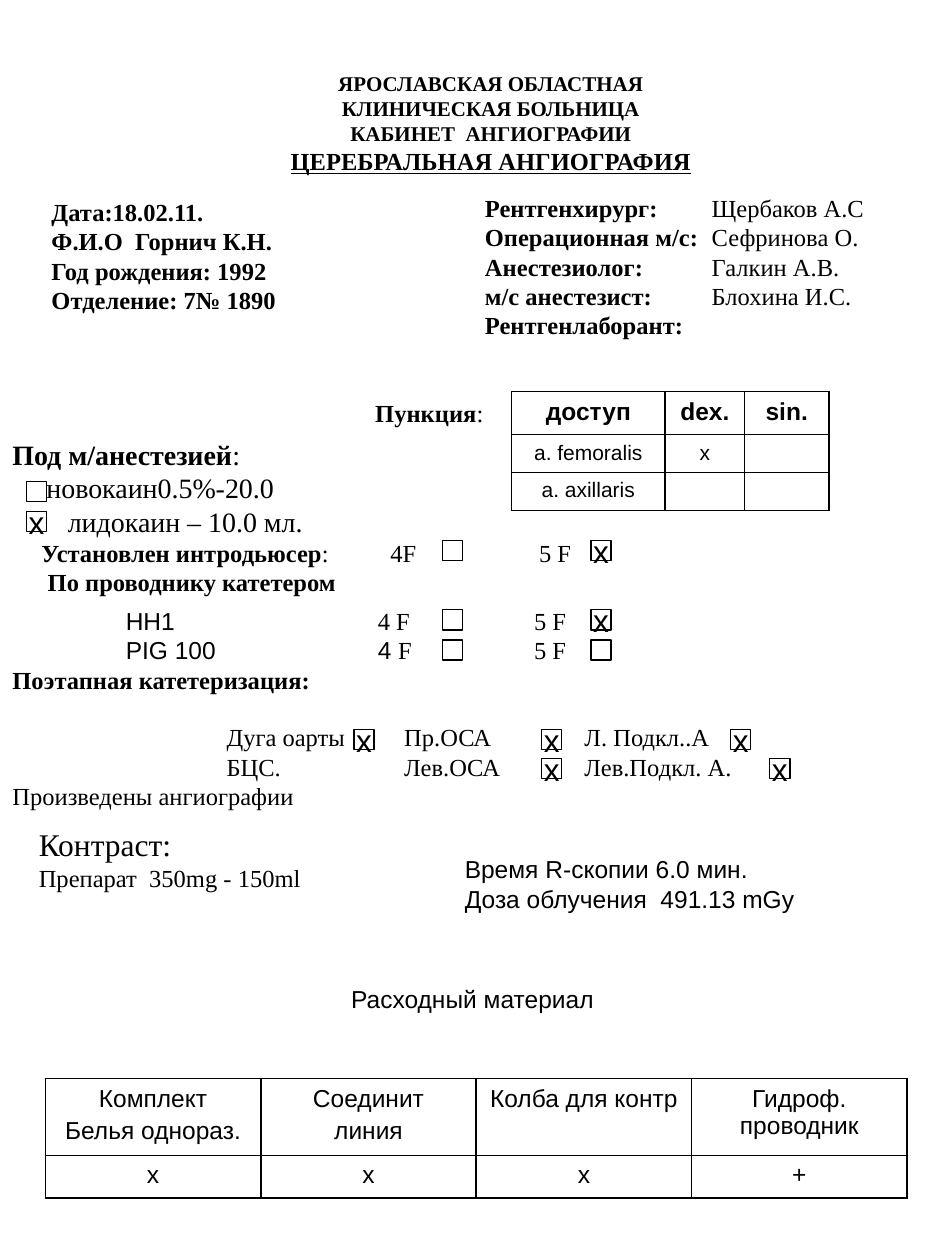
import pptx
import pptx.util
import pptx.dml.color
import pptx.enum.shapes
import pptx.enum.text
import pptx.oxml.ns
from lxml import etree

Inches = pptx.util.Inches
Pt = pptx.util.Pt
ALIGN = pptx.enum.text.PP_ALIGN
ANCHOR = pptx.enum.text.MSO_ANCHOR
qn = pptx.oxml.ns.qn
SERIF, SANS = "Times New Roman", "Arial"
BLACK = "000000"
TICK = 0.16


def rgb(value):
    return pptx.dml.color.RGBColor.from_string(value)


def add_text(tf, text, size=14, font=SERIF, bold=False, underline=False,
             align=ALIGN.LEFT, indent=0, tabs=(), before=0):
    p = tf.add_paragraph() if tf.text else tf.paragraphs[0]
    ppr = p._p.get_or_add_pPr()
    if indent:
        ppr.set("marL", str(Inches(indent)))
        ppr.set("indent", "0")
    if tabs:
        tab_list = etree.SubElement(ppr, qn("a:tabLst"))
        for pos in tabs:
            etree.SubElement(tab_list, qn("a:tab"), pos=str(Inches(pos)), algn="l")
    p.alignment = align
    if before:
        p.space_before = Pt(before)
    for part, part_bold, part_font in [(text, bold, font)] if isinstance(text, str) else text:
        r = p.add_run()
        r.text = part
        r.font.size = Pt(size)
        r.font.name = part_font
        r.font.bold = part_bold
        r.font.underline = underline
        r.font.color.rgb = rgb(BLACK)
    return p


def add_box(s, x, y, w, h, top=0.05, anchor=ANCHOR.TOP):
    sp = s.shapes.add_textbox(Inches(x), Inches(y), Inches(w), Inches(h))
    tf = sp.text_frame
    tf.word_wrap = True
    tf.margin_top = Inches(top)
    tf.vertical_anchor = anchor
    return tf


def add_tick(s, x, y, mark=""):
    sp = s.shapes.add_shape(pptx.enum.shapes.MSO_SHAPE.RECTANGLE,
                            Inches(x), Inches(y), Inches(TICK), Inches(TICK))
    sp.shadow.inherit = False
    sp.fill.background()
    sp.line.color.rgb = rgb(BLACK)
    sp.line.width = Pt(0.75)
    if mark:
        tf = sp.text_frame
        tf.word_wrap = False
        tf.vertical_anchor = ANCHOR.MIDDLE
        add_text(tf, mark, size=18, font=SANS, align=ALIGN.CENTER)


def add_border(cell, side, width):
    ln = etree.SubElement(cell._tc.get_or_add_tcPr(), qn("a:" + side), w=str(Pt(width)))
    fill = etree.SubElement(ln, qn("a:solidFill"))
    etree.SubElement(fill, qn("a:srgbClr"), val=BLACK)


def add_grid(s, x, y, cols, rows, cells, head, body, outer=1):
    frame = s.shapes.add_table(len(rows), len(cols), Inches(x), Inches(y),
                               Inches(sum(cols)), Inches(sum(rows)))
    table = frame.table
    table.first_row = table.horz_banding = False
    for col, width in zip(table.columns, cols):
        col.width = Inches(width)
    for i, height in enumerate(rows):
        table.rows[i].height = Inches(height)
        fmt = body if i else head
        for j, text in enumerate(cells[i]):
            cell = table.cell(i, j)
            edges = (("lnL", j == 0), ("lnR", j == len(cols) - 1),
                     ("lnT", i == 0), ("lnB", i == len(rows) - 1))
            for side, at_edge in edges:
                add_border(cell, side, outer if at_edge else 1)
            cell.fill.background()
            for k, line in enumerate(text.split("\n") if text else ()):
                add_text(cell.text_frame, line, font=SANS, align=ALIGN.CENTER,
                         before=2.8 if k else 0, **fmt)
            if not text:
                end = cell.text_frame.paragraphs[0]._p.get_or_add_endParaRPr()
                end.set("sz", str(fmt["size"] * 100))


def add_title(s, x, y, w, h):
    tf = add_box(s, x, y, w, h, top=0.21)
    for line in ("ЯРОСЛАВСКАЯ ОБЛАСТНАЯ", "КЛИНИЧЕСКАЯ БОЛЬНИЦА", "КАБИНЕТ  АНГИОГРАФИИ"):
        add_text(tf, line, size=12, bold=True, align=ALIGN.CENTER)
    add_text(tf, "ЦЕРЕБРАЛЬНАЯ АНГИОГРАФИЯ", bold=True, underline=True, align=ALIGN.CENTER)


def add_patient(s, x, y, w, h):
    tf = add_box(s, x, y, w, h, anchor=ANCHOR.MIDDLE)
    for line in ("Дата:18.02.11.", "Ф.И.О  Горнич К.Н.", "Год рождения: 1992",
                 "Отделение: 7№ 1890"):
        add_text(tf, line, bold=True)


def add_team(s, x, y, w, h):
    tf = add_box(s, x, y, w, h)
    for role, name in (("Рентгенхирург:", "Щербаков А.С"),
                       ("Операционная м/с:", "Сефринова О."),
                       ("Анестезиолог:", "Галкин А.В."),
                       ("м/с анестезист:", "Блохина И.С.")):
        add_text(tf, [(role, True, SERIF), ("\t" + name, False, SERIF)], tabs=[1.8])
    add_text(tf, "Рентгенлаборант:", bold=True)


def add_anesthesia(s, x, y, w, h):
    tf = add_box(s, x, y, w, h)
    add_text(tf, [("Под м/анестезией", True, SERIF), (":", False, SERIF)], size=16)
    add_text(tf, "новокаин0.5%-20.0", size=16, indent=0.27)
    add_text(tf, "лидокаин – 10.0 мл.", size=16, indent=0.44)
    add_tick(s, x + 0.21, y + 0.4)
    add_tick(s, x + 0.21, y + 0.64, "х")


def add_puncture(s, x, y, w, h):
    tf = add_box(s, x, y, 1.06, 0.33)
    add_text(tf, [("Пункция", True, SERIF), (":", False, SERIF)])
    add_grid(s, x + 1.18, y, [1.22, 0.63, 0.67], [0.34, 0.3, 0.3],
             [["доступ", "dex.", "sin."], ["a. femoralis", "х", ""], ["a. axillaris", "", ""]],
             {"size": 14, "bold": True}, {"size": 12}, outer=0.75)


def add_introducer(s, x, y, w, h):
    tf = add_box(s, x, y, w, h)
    add_text(tf, [("Установлен интродьюсер", True, SERIF), (":\t4F\t5 F", False, SERIF)],
             tabs=[2.77, 3.95])
    add_text(tf, "По проводнику катетером", bold=True, indent=0.05)
    add_tick(s, x + 3.28, y + 0.07)
    add_tick(s, x + 4.46, y + 0.07, "х")


def add_catheters(s, x, y, w, h):
    tf = add_box(s, x, y, w, h)
    sizes, vessels = [0.9, 2.9, 4.14], [1.7, 3.11, 4.54]
    add_text(tf, [("\tHH1", False, SANS), ("\t4 F\t5 F", False, SERIF)], tabs=sizes)
    add_text(tf, [("\tРIG 100\t4 ", False, SANS), ("F\t5 F", False, SERIF)], tabs=sizes)
    add_text(tf, "Поэтапная катетеризация:", bold=True)
    add_text(tf, "\tДуга оарты\tПр.ОСА\tЛ. Подкл..А", tabs=vessels, before=16)
    add_text(tf, "\tБЦС.\tЛев.ОСА\tЛев.Подкл. А.", tabs=vessels)
    add_text(tf, "Произведены ангиографии")
    for dy, ticks in ((0.08, ((3.51, ""), (4.69, "х"))),
                      (0.32, ((3.51, ""), (4.69, ""))),
                      (1.03, ((2.81, "х"), (4.3, "х"), (5.8, "х"))),
                      (1.26, ((4.3, "х"), (6.11, "х")))):
        for dx, mark in ticks:
            add_tick(s, x + dx, y + dy, mark)


def add_contrast(s, x, y, w, h):
    tf = add_box(s, x, y, 3.3, h)
    add_text(tf, "Контраст:", size=18)
    add_text(tf, "Препарат  350mg - 150ml")
    tf = add_box(s, x + 3.38, y + 0.23, 3.12, 0.57)
    add_text(tf, "Время R-скопии 6.0 мин.", font=SANS)
    add_text(tf, "Доза облучения  491.13 mGy", font=SANS)


def add_supplies(s, x, y, w, h):
    tf = add_box(s, x, y, w, 0.33)
    add_text(tf, "Расходный материал", font=SANS, align=ALIGN.CENTER)
    add_grid(s, x + 0.36, y + 0.8, [1.71] * 4, [0.61, 0.34],
             [["Комплект\nБелья однораз.", "Соединит\nлиния", "Колба для контр",
               "Гидроф. проводник"], ["х", "х", "х", "+"]],
             {"size": 14}, {"size": 14})


def main():
    prs = pptx.Presentation()
    prs.slide_width, prs.slide_height = Inches(7.5), Inches(10)
    s = prs.slides.add_slide(prs.slide_layouts[6])
    add_title(s, 0.52, 0.35, 6.75, 1.48)
    add_patient(s, 0.31, 1.17, 3.31, 1.72)
    add_team(s, 3.75, 1.48, 3.75, 1.28)
    add_anesthesia(s, 0, 3.42, 3.42, 0.9)
    add_puncture(s, 2.88, 3.11, 3.7, 0.94)
    add_introducer(s, 0.23, 4.22, 6.32, 0.57)
    add_catheters(s, 0, 4.76, 7.5, 1.75)
    add_contrast(s, 0.21, 6.5, 6.5, 0.8)
    add_supplies(s, 0, 7.76, 7.5, 1.75)
    prs.save("out.pptx")


if __name__ == "__main__":
    main()
